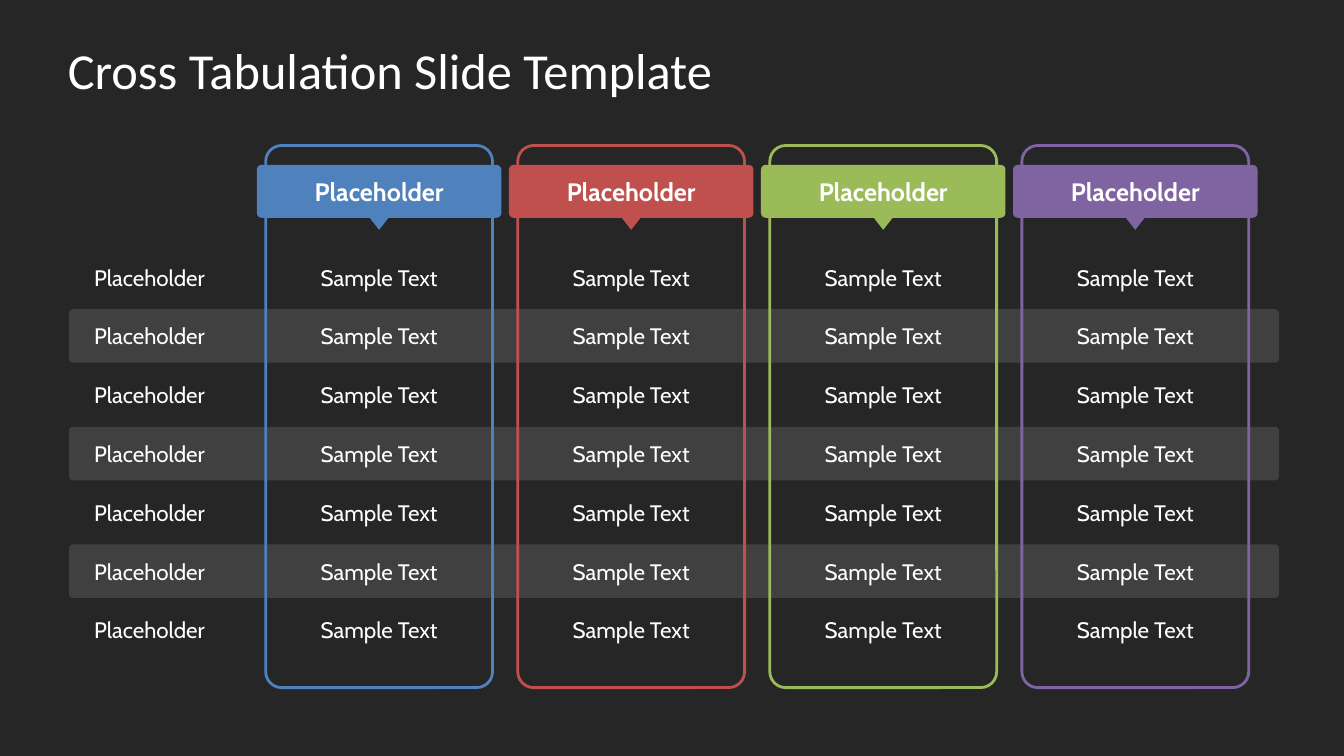
from pptx import Presentation
from pptx.dml.color import RGBColor
from pptx.enum.shapes import MSO_SHAPE
from pptx.enum.text import MSO_ANCHOR, PP_ALIGN
from pptx.util import Inches, Pt

COL, ROW = 2.5, 7 / 12
LEFT, TOP = 3.76, 2.75
ROWS = 7
DARK, BAND, WHITE = "262626", "404040", "FFFFFF"
HUES = ["4F81BD", "C0504D", "9BBB59", "8064A2"]
TITLE = {"name": "Calibri", "size": Pt(36)}
HEAD = {"name": "Cabin", "size": Pt(18), "bold": True}
BODY = {"name": "Cabin", "size": Pt(16)}


def paint(fill, hue):
    """Fill with a solid colour given as a hex string."""
    fill.solid()
    fill.fore_color.rgb = RGBColor.from_string(hue)


def place(col, row, wide, high):
    """Turn a centre and size in columns and rows into a box."""
    x, y = LEFT + COL * (col - wide / 2), TOP + ROW * (row - high / 2)
    return [Inches(n) for n in (x, y, COL * wide, ROW * high)]


def add_form(slide, kind, box, hue, curve=None, line=False):
    """Add a preset shape, filled or only outlined."""
    form = slide.shapes.add_shape(kind, *place(*box))
    form.shadow.inherit = False
    if curve is not None:
        form.adjustments[0] = curve
    if line:
        form.fill.background()
        paint(form.line.fill, hue)
        form.line.width = Pt(2)
    else:
        paint(form.fill, hue)
        form.line.fill.background()
    return form


def add_text(slide, text, box, style, align=PP_ALIGN.CENTER):
    """Add white text, centred on the height of its box."""
    frame = slide.shapes.add_textbox(*place(*box)).text_frame
    setup = {"word_wrap": True, "vertical_anchor": MSO_ANCHOR.MIDDLE,
             "margin_left": 0, "margin_right": 0,
             "margin_top": 0, "margin_bottom": 0}
    for key, value in setup.items():
        setattr(frame, key, value)
    para = frame.paragraphs[0]
    para.text, para.alignment = text, align
    for key, value in style.items():
        setattr(para.font, key, value)
    paint(para.font.fill, WHITE)


def add_row(slide, row):
    """Add a row label, with a band behind every second row."""
    if row % 2:
        add_form(slide, MSO_SHAPE.ROUNDED_RECTANGLE,
                 (1.17, row, 4.8, 0.91), BAND, 0.07)
    add_text(slide, "Placeholder", (-0.87, row, 0.52, 0.45), BODY, PP_ALIGN.LEFT)


def add_column(slide, col, hue):
    """Add a framed column with its header, pointer and cells."""
    add_form(slide, MSO_SHAPE.ROUNDED_RECTANGLE,
             (col, 2.37, 0.9, 9.22), hue, 0.07, line=True)
    add_form(slide, MSO_SHAPE.ROUNDED_RECTANGLE,
             (col, -1.46, 0.97, 0.9), hue, 0.09)
    add_text(slide, "Placeholder", (col, -1.46, 0.9, 0.67), HEAD)
    arrow = add_form(slide, MSO_SHAPE.ISOSCELES_TRIANGLE,
                     (col, -0.97, 0.12, 0.33), hue)
    arrow.rotation = 180
    for row in range(ROWS):
        add_text(slide, "Sample Text", (col, row, 0.63, 0.45), BODY)


def main():
    """Build the slide and save it."""
    deck = Presentation()
    deck.slide_width, deck.slide_height = Inches(13.33), Inches(7.5)
    slide = deck.slides.add_slide(deck.slide_layouts[6])
    paint(slide.background.fill, DARK)
    add_text(slide, "Cross Tabulation Slide Template",
             (1.16, -3.53, 4.79, 1.34), TITLE, PP_ALIGN.LEFT)
    for row in range(ROWS):
        add_row(slide, row)
    for col, hue in enumerate(HUES):
        add_column(slide, col, hue)
    deck.save("out.pptx")


if __name__ == "__main__":
    main()
